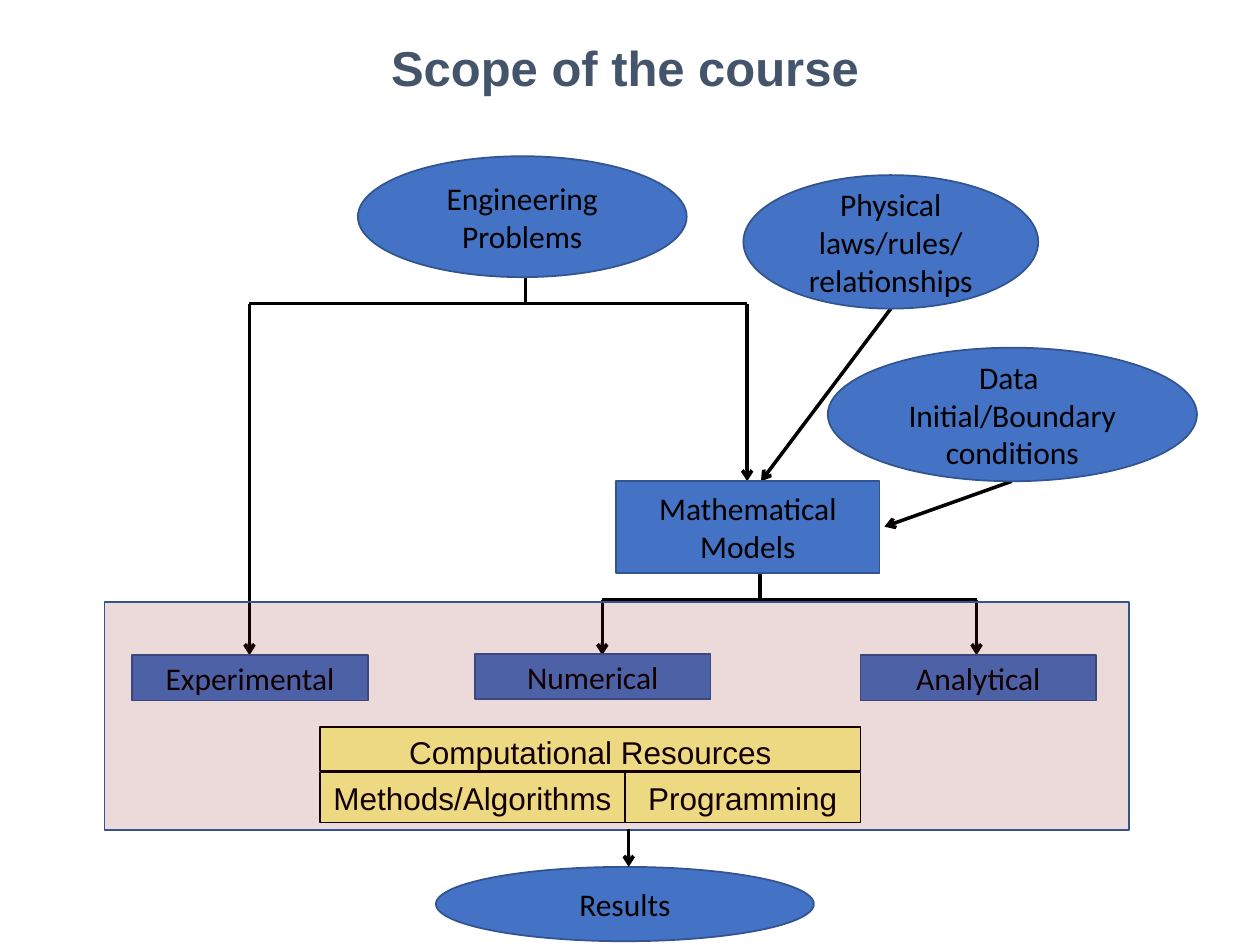
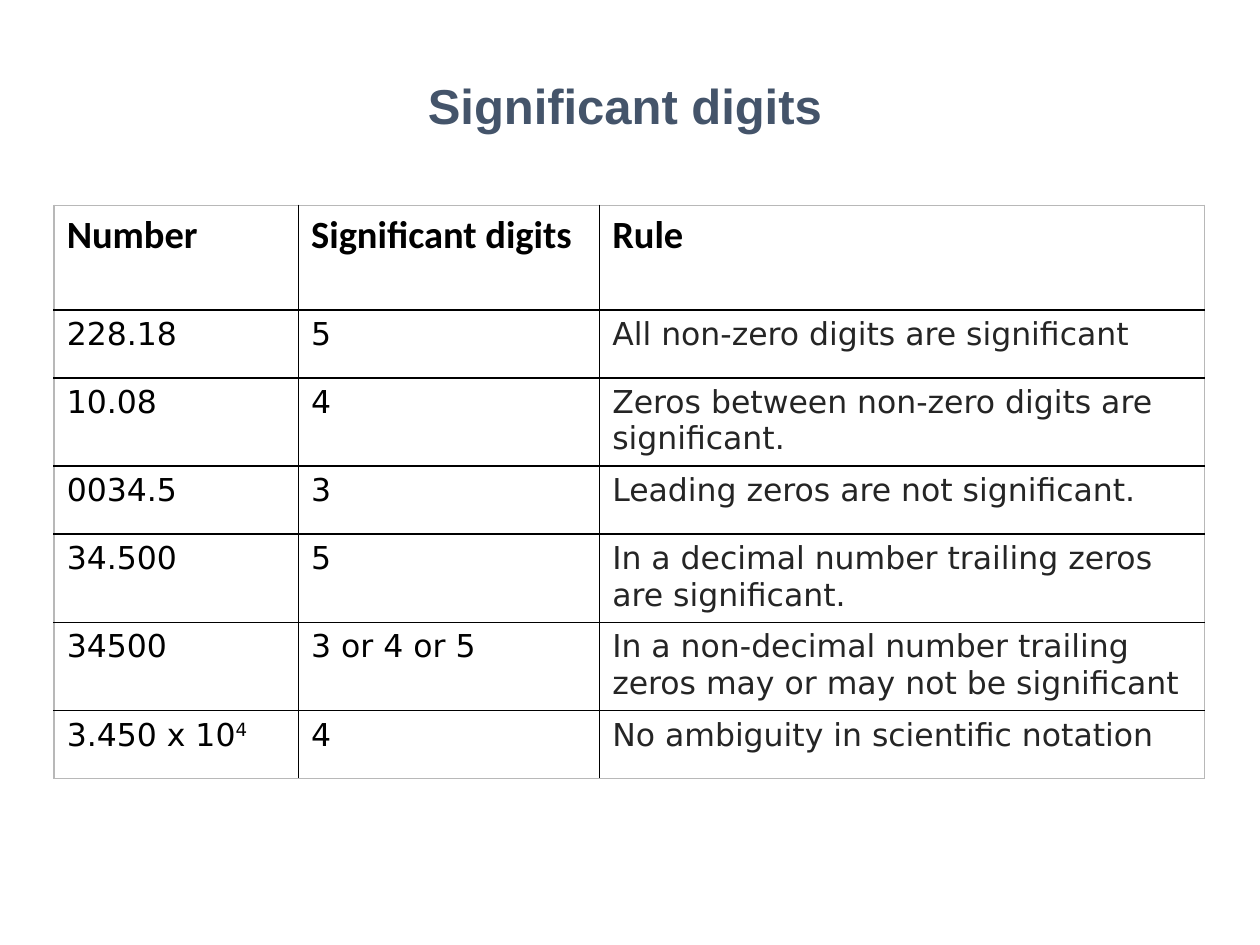
from itertools import pairwise

from pptx import Presentation
from pptx.dml.color import RGBColor
from pptx.enum.shapes import MSO_CONNECTOR, MSO_SHAPE
from pptx.enum.text import MSO_ANCHOR, MSO_AUTO_SIZE, PP_ALIGN
from pptx.oxml.ns import qn
from pptx.util import Inches, Pt
from lxml.etree import SubElement

# Shared look
SLATE = RGBColor(0x44, 0x54, 0x6A)
BLUE = RGBColor(0x44, 0x72, 0xC4)
NAVY = RGBColor(0x32, 0x54, 0x91)
YELLOW = RGBColor(0xFF, 0xFF, 0x99)
MAROON = RGBColor(0x80, 0x00, 0x00)
BLACK = RGBColor(0x00, 0x00, 0x00)
CHARCOAL = RGBColor(0x25, 0x25, 0x25)
GREY = RGBColor(0xB8, 0xB8, 0xB8)
TITLE_FONT, NODE_FONT, CELL_FONT = "Arial", "Calibri", "DejaVu Sans"
TITLE_ONLY = 5

# Slide 1: text, (left, top, width, height)
PROBLEM = ("Engineering Problems", (2.84, 1.24, 2.61, 0.96))
INPUTS = [
    ("Physical laws/rules/ relationships", (5.9, 1.39, 2.34, 1.06)),
    ("Data \nInitial/Boundary conditions", (6.57, 2.76, 2.93, 1.06)),
]
RESULTS = ("Results", (3.46, 6.88, 3, 0.59))
STEPS = [
    ("Mathematical Models", (4.89, 3.82, 2.09, 0.73)),
    ("Experimental", (1.05, 5.2, 1.87, 0.36)),
    ("Numerical", (3.77, 5.19, 1.87, 0.36)),
    ("Analytical", (6.83, 5.2, 1.87, 0.36)),
]
RESOURCES = [
    ("Computational Resources", (2.54, 5.77, 4.29, 0.35)),
    ("Methods/Algorithms", (2.54, 6.13, 2.42, 0.4)),
    ("Programming", (4.96, 6.13, 1.87, 0.4)),
]
METHODS_PANEL = (0.83, 4.78, 8.13, 1.81)

# Corner points of each route; the last leg ends in an arrowhead
ROUTES = [
    [(4.17, 2.2), (4.17, 2.41), (1.98, 2.41), (1.98, 5.2)],
    [(4.17, 2.41), (5.93, 2.41), (5.93, 3.82)],
    [(7.07, 2.45), (6.04, 3.82)],
    [(8.03, 3.82), (7.02, 4.18)],
    [(6.03, 4.54), (6.03, 4.76), (7.75, 4.76), (7.75, 5.2)],
    [(6.03, 4.76), (4.78, 4.76), (4.78, 5.2)],
]
RESULTS_ROUTE = [(4.99, 6.58), (4.99, 6.88)]

# Slide 2: "^" starts a superscript
HEADINGS = ("Number", "Significant digits", "Rule")
RULES = [
    ("228.18", "5", "All non-zero digits are significant"),
    ("10.08", "4", "Zeros between non-zero digits are significant."),
    ("0034.5", "3", "Leading zeros are not significant."),
    ("34.500", "5", "In a decimal number trailing zeros are significant."),
    ("34500", "3 or 4 or 5",
     "In a non-decimal number trailing zeros may or may not be significant"),
    ("3.450 x 10^4", "4", "No ambiguity in scientific notation"),
]
COLUMN_WIDTHS = (1.94, 2.39, 4.8)
ROW_HEIGHTS = (0.83, 0.54, 0.7, 0.54, 0.7, 0.7, 0.54)


def set_font(paragraph, name, size, color=BLACK, bold=False):
    font = paragraph.font
    font.name, font.size, font.bold = name, Pt(size), bold
    font.color.rgb = color


def add_titled_slide(prs, title, top):
    slide = prs.slides.add_slide(prs.slide_layouts[TITLE_ONLY])
    heading = slide.shapes.title
    heading.left, heading.top = Inches(0), Inches(top)
    heading.width, heading.height = Inches(9.92), Inches(1.03)
    frame = heading.text_frame
    frame.text = title
    frame.auto_size = MSO_AUTO_SIZE.NONE
    frame.vertical_anchor = MSO_ANCHOR.TOP
    frame.paragraphs[0].alignment = PP_ALIGN.CENTER
    set_font(frame.paragraphs[0], TITLE_FONT, 28, SLATE, True)
    return slide


def add_box(slide, kind, place, fill=BLUE, line=NAVY, line_width=1):
    box = slide.shapes.add_shape(kind, *map(Inches, place))
    box.shadow.inherit = False
    box.fill.solid()
    box.fill.fore_color.rgb = fill
    box.line.color.rgb = line
    box.line.width = Pt(line_width)
    return box


def write_label(box, text, font=NODE_FONT, anchor=MSO_ANCHOR.MIDDLE, wrap=True):
    frame = box.text_frame
    frame.text = text
    frame.word_wrap = wrap
    frame.vertical_anchor = anchor
    for paragraph in frame.paragraphs:
        paragraph.alignment = PP_ALIGN.CENTER
        set_font(paragraph, font, 18)
    return frame


def add_route(slide, points):
    for start, end in pairwise(points):
        leg = slide.shapes.add_connector(
            MSO_CONNECTOR.STRAIGHT, *map(Inches, start + end))
        leg.line.color.rgb = BLACK
        leg.line.width = Pt(2)
        properties = leg._element.spPr
        SubElement(properties, qn("a:effectLst"))
    SubElement(properties.find(qn("a:ln")), qn("a:tailEnd"), type="arrow")


def set_borders(cell, edges):
    properties = cell._tc.get_or_add_tcPr()
    for side, color in edges.items():
        line = SubElement(properties, qn(f"a:ln{side}"), w=str(Pt(1)))
        SubElement(SubElement(line, qn("a:solidFill")), qn("a:srgbClr"), val=str(color))


def build_scope(prs):
    slide = add_titled_slide(prs, "Scope of the course", 0.25)

    # Flow from problem to methods
    for route in ROUTES:
        add_route(slide, route)
    text, place = PROBLEM
    write_label(add_box(slide, MSO_SHAPE.OVAL, place), text)
    for text, place in INPUTS:
        frame = write_label(add_box(slide, MSO_SHAPE.OVAL, place), text)
        frame.margin_left = frame.margin_right = 0
        frame.margin_top = frame.margin_bottom = 0
    for text, place in STEPS:
        write_label(add_box(slide, MSO_SHAPE.RECTANGLE, place), text)
    for text, place in RESOURCES:
        box = add_box(slide, MSO_SHAPE.RECTANGLE, place, YELLOW, BLACK, 0.75)
        write_label(box, text, TITLE_FONT, MSO_ANCHOR.TOP, wrap=False)

    # Tinted panel over the methods
    panel = add_box(slide, MSO_SHAPE.RECTANGLE, METHODS_PANEL, MAROON)
    tint = panel._element.spPr.find(qn("a:solidFill"))[0]
    SubElement(tint, qn("a:alpha"), val="15000")

    # Outcome
    text, place = RESULTS
    write_label(add_box(slide, MSO_SHAPE.OVAL, place), text)
    add_route(slide, RESULTS_ROUTE)


def build_digits(prs):
    slide = add_titled_slide(prs, "Significant digits", 0.55)
    rows = [HEADINGS, *RULES]
    last_row, last_column = len(rows) - 1, len(HEADINGS) - 1
    table = slide.shapes.add_table(
        len(rows), len(HEADINGS), Inches(0.43), Inches(1.63),
        Inches(sum(COLUMN_WIDTHS)), Inches(sum(ROW_HEIGHTS))).table
    table.first_row = table.horz_banding = False
    for column, width in zip(table.columns, COLUMN_WIDTHS):
        column.width = Inches(width)
    for row, height in zip(table.rows, ROW_HEIGHTS):
        row.height = Inches(height)

    for r, entries in enumerate(rows):
        for c, entry in enumerate(entries):
            cell = table.cell(r, c)
            # Grey outer frame, black inner grid
            set_borders(cell, {
                "L": BLACK if c else GREY,
                "R": BLACK if c < last_column else GREY,
                "T": BLACK if r else GREY,
                "B": BLACK if r < last_row else GREY,
            })
            cell.fill.background()
            base, _, power = entry.partition("^")
            paragraph = cell.text_frame.paragraphs[0]
            paragraph.add_run().text = base
            if power:
                exponent = paragraph.add_run()
                exponent.text = power
                exponent.font._element.set("baseline", "30000")
            if r == 0:
                set_font(paragraph, NODE_FONT, 22, bold=True)
            else:
                set_font(paragraph, CELL_FONT, 18,
                         CHARCOAL if c == last_column else BLACK)


def main():
    prs = Presentation()
    prs.slide_width, prs.slide_height = Inches(10), Inches(7.5)
    build_scope(prs)
    build_digits(prs)
    prs.save("out.pptx")


if __name__ == "__main__":
    main()
